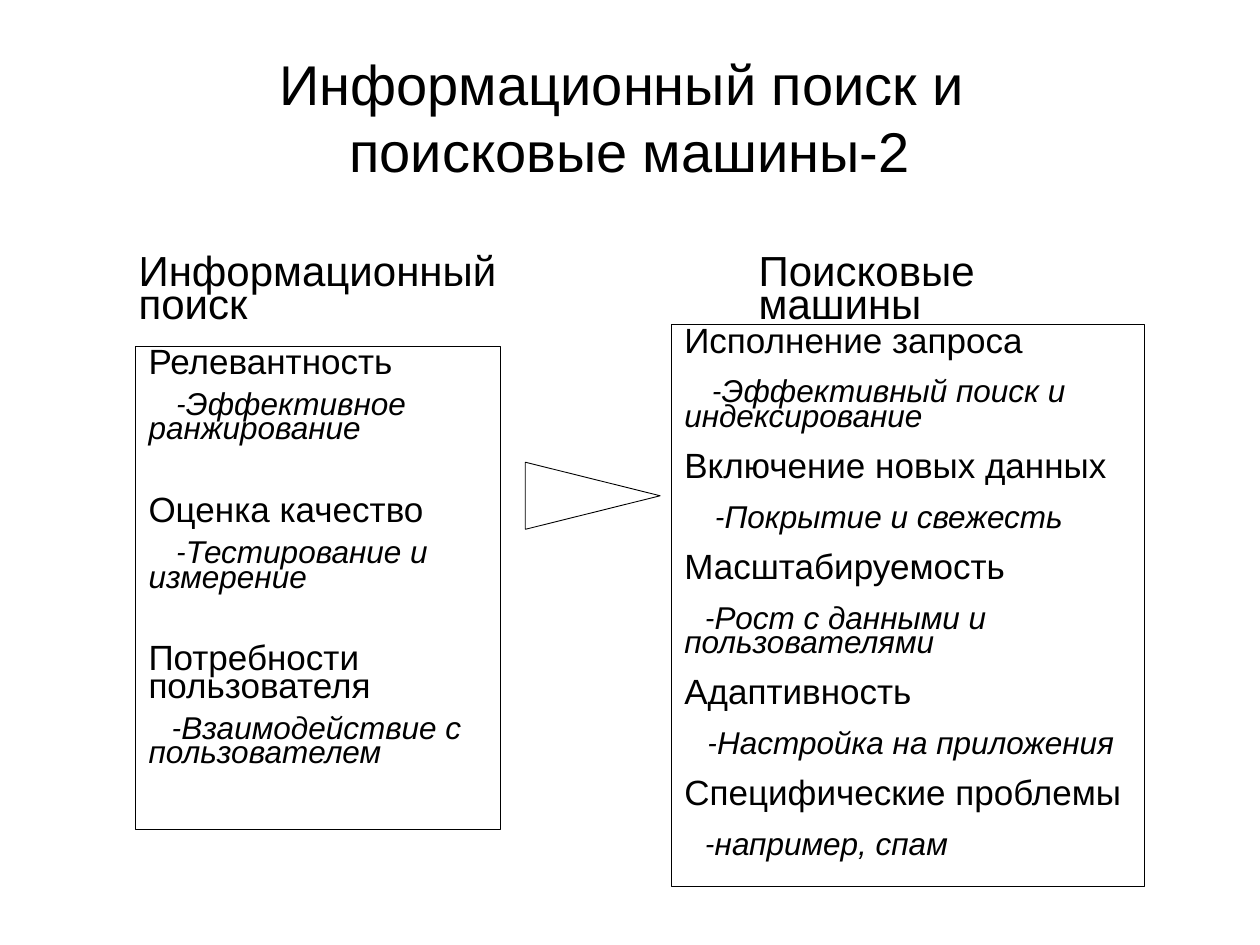
import pptx
import pptx.util
import pptx.dml.color
import pptx.enum.shapes
import pptx.enum.text
from dataclasses import dataclass
from lxml import etree
from pptx.util import Cm, Pt


@dataclass(frozen=True)
class Theme:
    ink: pptx.dml.color.RGBColor = pptx.dml.color.RGBColor(0, 0, 0)
    text_font: str = "Arial"
    dash_font: str = "Calibri"
    title: int = 32
    heading: int = 24
    topic: int = 20
    detail: int = 18
    outline: float = 0.5
    spacing: float = 0.65


theme = Theme()


def format_paragraph(paragraph, size, before=0, indent=0, italic=False):
    properties = paragraph._p.get_or_add_pPr()
    properties.set("marL", "0")
    properties.set("indent", str(Cm(indent)))
    etree.SubElement(properties, pptx.oxml.ns.qn("a:buNone"))
    paragraph.alignment = pptx.enum.text.PP_ALIGN.LEFT
    paragraph.line_spacing = theme.spacing
    paragraph.space_before = Pt(before)
    for run in paragraph.runs:
        format_run(run, size, italic)


def format_run(run, size, italic=False):
    run.font.name = theme.text_font
    run.font.size = Pt(size)
    run.font.bold = False
    run.font.italic = italic
    run.font.color.rgb = theme.ink


presentation = pptx.Presentation()
presentation.slide_width = Cm(25.4)
presentation.slide_height = Cm(19.05)
slide = presentation.slides.add_slide(presentation.slide_layouts[4])
parts = {part.placeholder_format.idx: part for part in slide.placeholders}

title = parts[0]
title.left, title.top, title.width, title.height = Cm(1.27), Cm(0.76), Cm(22.86), Cm(3.18)
title.text_frame.text = "Информационный поиск и \vпоисковые машины-2"
title.text_frame.auto_size = pptx.enum.text.MSO_AUTO_SIZE.NONE
title.text_frame.vertical_anchor = pptx.enum.text.MSO_ANCHOR.MIDDLE
title.text_frame.paragraphs[0].alignment = pptx.enum.text.PP_ALIGN.CENTER
for title_line in title.text_frame.paragraphs[0].runs:
    format_run(title_line, theme.title)

columns = [
    (1, "Информационный поиск", (2.54, 5.13, 7.87, 1.35),
     (2.74, 6.98, 7.34, 9.75), 32, 9, [
        ("Релевантность", "Эффективное ранжирование", 0.56),
        ("Оценка качество", "Тестирование и измерение", 0.56),
        ("Потребности пользователя", "Взаимодействие с пользователем", 0.47),
    ]),
    (3, "Поисковые машины", (15.04, 5.13, 5.66, 1.14),
     (13.54, 6.55, 9.53, 11.33), 14, 14, [
        ("Исполнение запроса", "Эффективный поиск и индексирование", 0.56),
        ("Включение новых данных", "Покрытие и свежесть", 0.62),
        ("Масштабируемость", "Рост с данными и пользователями", 0.42),
        ("Адаптивность", "Настройка на приложения", 0.47),
        ("Специфические проблемы", "например, спам", 0.42),
    ]),
]

for index, heading_text, heading_box, topics_box, topic_gap, detail_gap, topics in columns:
    heading, topic_list = parts[index], parts[index + 1]
    for part, box in ((heading, heading_box), (topic_list, topics_box)):
        part.left, part.top, part.width, part.height = map(Cm, box)
        part.text_frame.auto_size = pptx.enum.text.MSO_AUTO_SIZE.NONE
        part.text_frame.vertical_anchor = pptx.enum.text.MSO_ANCHOR.TOP

    heading.text_frame.text = heading_text
    format_paragraph(heading.text_frame.paragraphs[0], theme.heading)

    topic_list.line.color.rgb = theme.ink
    topic_list.line.width = Pt(theme.outline)
    for position, (topic_text, detail_text, indent) in enumerate(topics):
        topic = topic_list.text_frame.add_paragraph() if position else topic_list.text_frame.paragraphs[0]
        topic.text = topic_text
        format_paragraph(topic, theme.topic, topic_gap if position else 0)

        detail = topic_list.text_frame.add_paragraph()
        detail.text = "-"
        detail.add_run().text = detail_text
        format_paragraph(detail, theme.detail, detail_gap, indent, True)
        detail.runs[0].font.name = theme.dash_font

transition = slide.shapes.add_shape(
    pptx.enum.shapes.MSO_SHAPE.RIGHT_ARROW, Cm(10.59), Cm(9.32), Cm(2.72), Cm(1.35))
transition.adjustments[0] = 1
transition.adjustments[1] = 2.01
transition.shadow.inherit = False
transition.fill.background()
transition.line.color.rgb = theme.ink
transition.line.width = Pt(theme.outline)

presentation.save("out.pptx")
